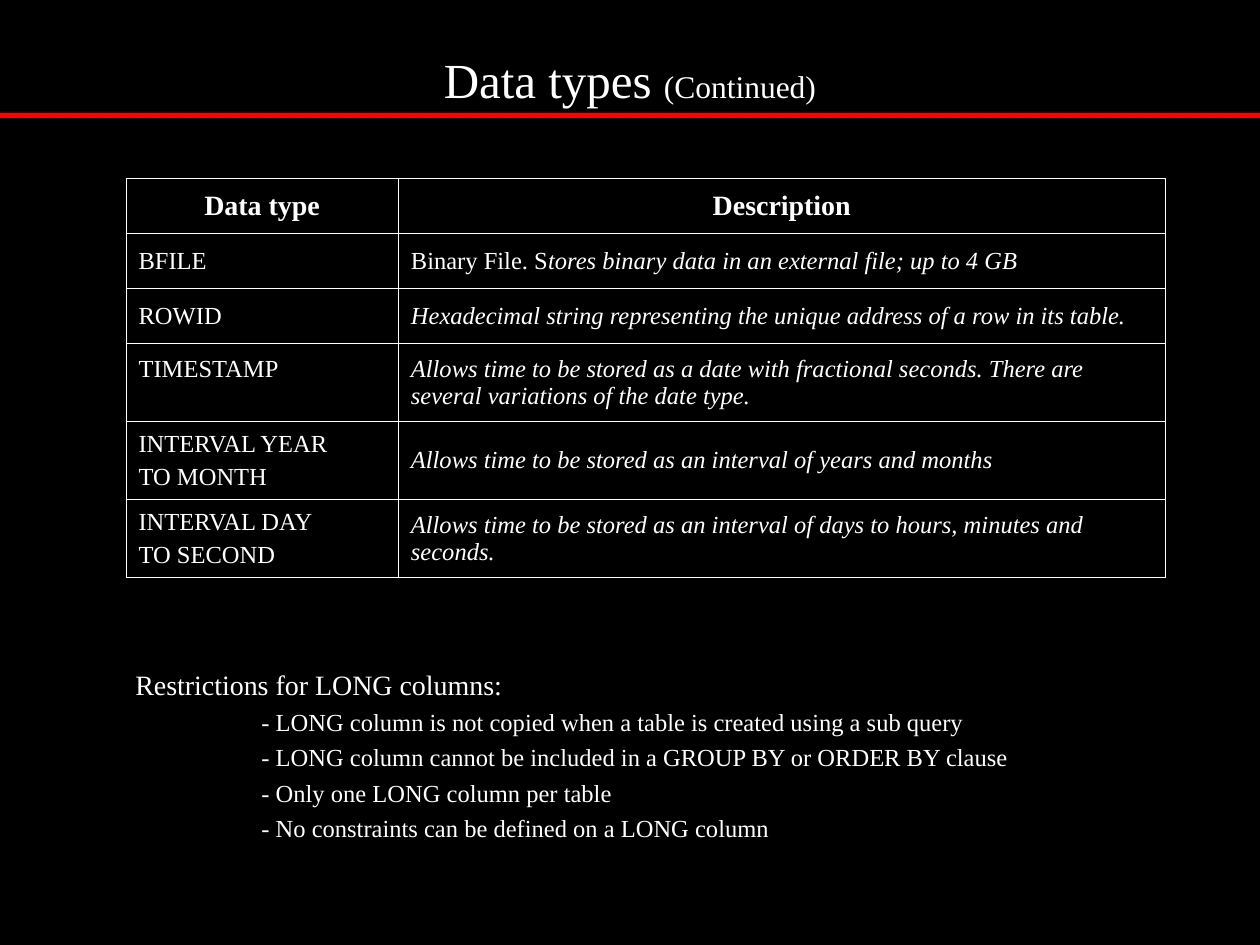
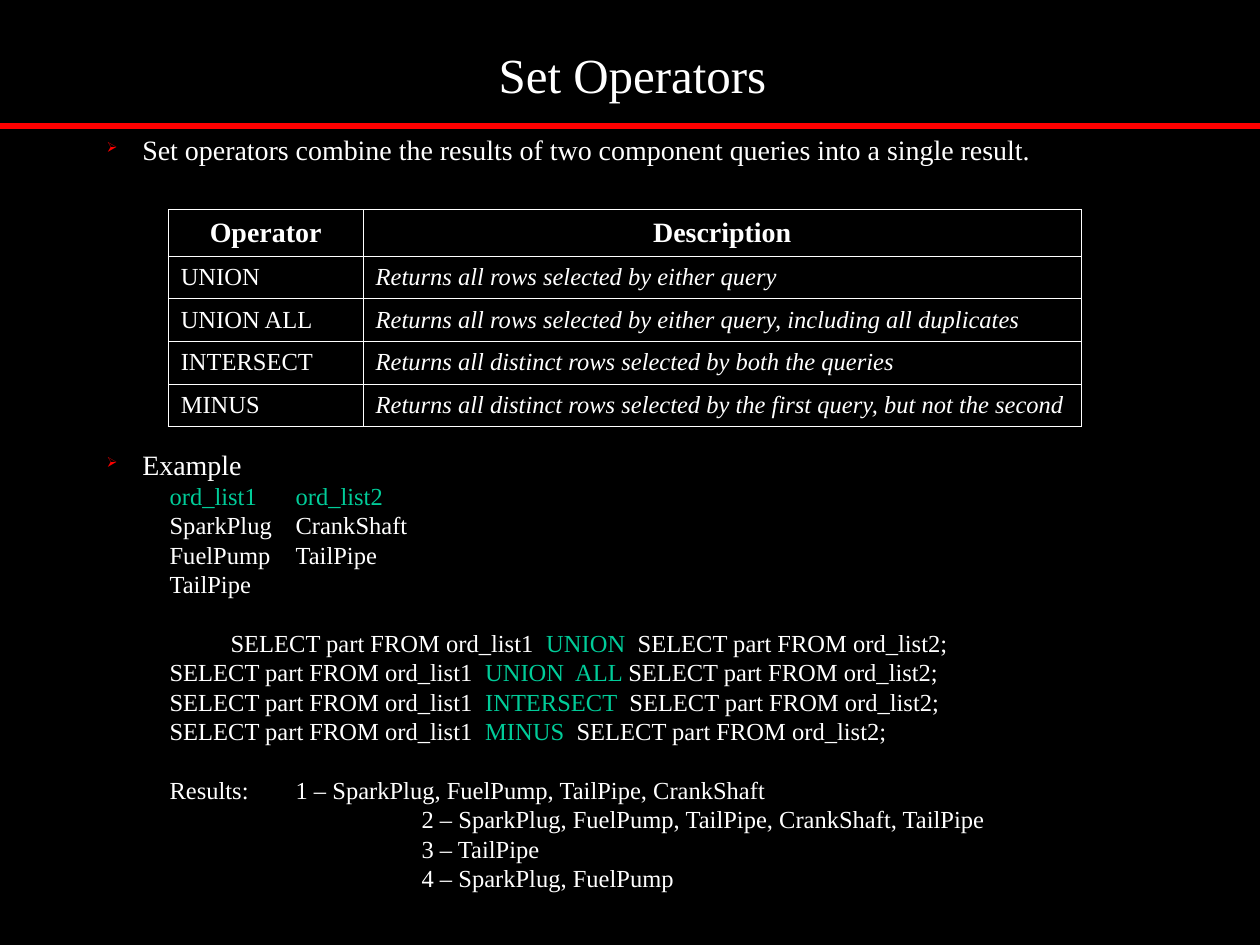
import pptx
import pptx.util
import pptx.dml.color
import pptx.enum.shapes
import pptx.enum.text
import pptx.oxml
import pptx.oxml.ns
from lxml import etree
from pptx.util import Cm

COLORS = {"back": "000000", "text": "FFFFFF", "rule": "FF0000", "accent": "00CC99"}
FONT = "Times New Roman"
HEAD_SIZE, BODY_SIZE = 16, 14
LINE_RATIO = 1.2
PP_ALIGN = pptx.enum.text.PP_ALIGN
ANCHOR = pptx.enum.text.MSO_ANCHOR


def rgb(name):
    return pptx.dml.color.RGBColor.from_string(COLORS[name])


def add_xml(parent, tag, **attributes):
    return etree.SubElement(parent, pptx.oxml.ns.qn(tag), attributes)


class Deck:
    def __init__(self):
        self.prs = pptx.Presentation()
        self.prs.slide_width, self.prs.slide_height = Cm(25.4), Cm(19.05)
        self.slide = None

    def add_slide(self, title_runs, title_box, rule_y):
        """Black slide with a centred title and a red rule below it."""
        self.slide = self.prs.slides.add_slide(self.prs.slide_layouts[5])
        self.slide.background.fill.solid()
        self.slide.background.fill.fore_color.rgb = rgb("back")
        title = self.slide.shapes.title
        title.left, title.top, title.width, title.height = map(Cm, title_box)
        title.text_frame.vertical_anchor = ANCHOR.MIDDLE
        paragraph = title.text_frame.paragraphs[0]
        paragraph.alignment = PP_ALIGN.CENTER
        for text, size in title_runs:
            self.run(paragraph, text, size)
        self.rule(rule_y)

    def rule(self, y):
        line = self.slide.shapes.add_connector(
            pptx.enum.shapes.MSO_CONNECTOR.STRAIGHT, 0, Cm(y), self.prs.slide_width, Cm(y))
        line.line.color.rgb = rgb("rule")
        line.line.width = pptx.util.Pt(3)
        add_xml(line._element.spPr, "a:effectLst")

    def run(self, paragraph, text, size, color="text", bold=False, italic=False):
        run = paragraph.add_run()
        run.text = text
        font = run.font
        font.name, font.size = FONT, pptx.util.Pt(size)
        font.bold, font.italic = bold, italic
        font.color.rgb = rgb(color)

    def text_box(self, box):
        frame = self.slide.shapes.add_textbox(*map(Cm, box)).text_frame
        frame.word_wrap = True
        return frame

    def paragraph(self, frame, runs, size=BODY_SIZE, indent=0.0, hanging=0.0,
                  leading=LINE_RATIO, before=0.0, bullet=False, tab=None):
        """One paragraph; runs is a list of (text, colour name)."""
        first = frame.paragraphs[0]
        paragraph = frame.add_paragraph() if first.runs else first
        paragraph.line_spacing = pptx.util.Pt(round(size * leading, 1))
        if before:
            paragraph.space_before = pptx.util.Pt(before)
        props = paragraph._p.get_or_add_pPr()
        props.set("marL", str(Cm(indent)))
        props.set("indent", str(-Cm(hanging)))
        if bullet:
            add_xml(add_xml(props, "a:buClr"), "a:srgbClr", val=COLORS["rule"])
            add_xml(props, "a:buSzPct", val="50000")
            add_xml(props, "a:buChar", char="➢")
        if tab:
            add_xml(add_xml(props, "a:tabLst"), "a:tab", pos=str(Cm(tab)), algn="l")
        for text, color in runs:
            self.run(paragraph, text, size, color)

    def bullet(self, frame, text):
        self.paragraph(frame, [(text, "text")], HEAD_SIZE, 0.72, 0.72, bullet=True)

    def table(self, left, top, widths, heights, header, rows):
        """Rows hold a term (lines) and a description (list of text, italic)."""
        shape = self.slide.shapes.add_table(
            len(heights), len(widths), Cm(left), Cm(top), Cm(sum(widths)), Cm(sum(heights)))
        table = shape.table
        table.first_row = table.horz_banding = False
        for column, width in zip(table.columns, widths):
            column.width = Cm(width)
        for row, height in zip(table.rows, heights):
            row.height = Cm(height)
        for cell in table.iter_cells():
            self.style_cell(cell)
        for column, heading in enumerate(header):
            paragraph = table.cell(0, column).text_frame.paragraphs[0]
            paragraph.alignment = PP_ALIGN.CENTER
            self.run(paragraph, heading, HEAD_SIZE, bold=True)
        for number, (term, description) in enumerate(rows, 1):
            frame = table.cell(number, 0).text_frame
            for index, line in enumerate(term):
                paragraph = frame.add_paragraph() if index else frame.paragraphs[0]
                if index:
                    paragraph.space_before = pptx.util.Pt(3.5)
                self.run(paragraph, line, BODY_SIZE)
            paragraph = table.cell(number, 1).text_frame.paragraphs[0]
            for text, italic in description:
                self.run(paragraph, text, BODY_SIZE, italic=italic)
        return table

    def style_cell(self, cell):
        cell.vertical_anchor = ANCHOR.MIDDLE
        cell.fill.background()
        props = cell._tc.get_or_add_tcPr()
        for index, side in enumerate("LRTB"):
            border = add_xml(props, f"a:ln{side}", w=str(pptx.util.Pt(0.45)))
            add_xml(add_xml(border, "a:solidFill"), "a:srgbClr", val=COLORS["text"])
            props.insert(index, border)


def data_types_slide(deck):
    deck.add_slide([("Data types ", 28), ("(Continued)", 18)], (1.9, 0.85, 21.6, 1.48), 2.33)

    # Data types and their meaning
    types = deck.table(
        2.54, 3.6, [5.49, 15.46], [1.11] * 3 + [1.57] * 3, ["Data type", "Description"], [
            (["BFILE"], [("Binary File. S", False),
                         ("tores binary data in an external file; up to 4 GB", True)]),
            (["ROWID"], [("Hexadecimal string representing the unique address of a row "
                          "in its table.", True)]),
            (["TIMESTAMP"], [("Allows time to be stored as a date with fractional seconds. "
                              "There are several variations of the date type.", True)]),
            (["INTERVAL YEAR", "TO MONTH"],
             [("Allows time to be stored as an interval of years and months", True)]),
            (["INTERVAL DAY", "TO SECOND"],
             [("Allows time to be stored as an interval of days to hours, minutes "
               "and seconds.", True)]),
        ])
    timestamp = types.cell(3, 0)
    timestamp.vertical_anchor = ANCHOR.TOP
    timestamp.margin_top = Cm(0.23)

    # Restrictions
    restrictions = deck.text_box((2.48, 13.33, 18.16, 4.57))
    deck.paragraph(restrictions, [("Restrictions for LONG columns:", "text")], HEAD_SIZE)
    for rule in ["- LONG column is not copied when a table is created using a sub query",
                 "- LONG column cannot be included in a GROUP BY or ORDER BY clause",
                 "- Only one LONG column per table",
                 "- No constraints can be defined on a LONG column"]:
        deck.paragraph(restrictions, [(rule, "text")], indent=2.54, leading=LINE_RATIO * 1.2)


def set_operators_slide(deck):
    deck.add_slide([("Set Operators", 28)], (1.95, 0.64, 21.6, 1.69), 2.54)
    gap = BODY_SIZE * LINE_RATIO
    indent, tab = 1.27, 2.54

    # Operators
    operators = [
        ("UNION", "Returns all rows selected by either query"),
        ("UNION ALL", "Returns all rows selected by either query, including all duplicates"),
        ("INTERSECT", "Returns all distinct rows selected by both the queries"),
        ("MINUS", "Returns all distinct rows selected by the first query, but not the second"),
    ]
    deck.table(3.39, 4.23, [3.93, 14.48], [0.93] + [0.86] * 4, ["Operator", "Description"],
               [([name], [(meaning, True)]) for name, meaning in operators])
    intro = deck.text_box((1.9, 2.54, 22.28, 0.94))
    deck.bullet(intro, "Set operators combine the results of two component queries "
                       "into a single result.")

    # Example lists
    example = deck.text_box((1.9, 8.89, 22.28, 9.25))
    deck.bullet(example, "Example")
    for parts, color in [("ord_list1\tord_list2", "accent"), ("SparkPlug\tCrankShaft", "text"),
                         ("FuelPump\tTailPipe", "text"), ("TailPipe", "text")]:
        deck.paragraph(example, [(parts, color)], indent=indent, tab=tab)

    # Queries
    for operator, left, before in [("  UNION  ", 2.5, gap), ("  UNION  ALL ", indent, 0),
                                   ("  INTERSECT  ", indent, 0), ("  MINUS  ", indent, 0)]:
        deck.paragraph(example, [("SELECT part FROM ord_list1", "text"), (operator, "accent"),
                                 ("SELECT part FROM ord_list2;", "text")],
                       indent=left, before=before)

    # Results
    deck.paragraph(example, [("Results:\t1 – SparkPlug, FuelPump, TailPipe, CrankShaft", "text")],
                   indent=indent, before=gap, tab=tab)
    for result in ["2 – SparkPlug, FuelPump, TailPipe, CrankShaft, TailPipe",
                   "3 – TailPipe", "4 – SparkPlug, FuelPump"]:
        deck.paragraph(example, [(result, "text")], indent=indent + 2 * tab)


def main():
    deck = Deck()
    data_types_slide(deck)
    set_operators_slide(deck)
    deck.prs.save("out.pptx")


if __name__ == "__main__":
    main()
